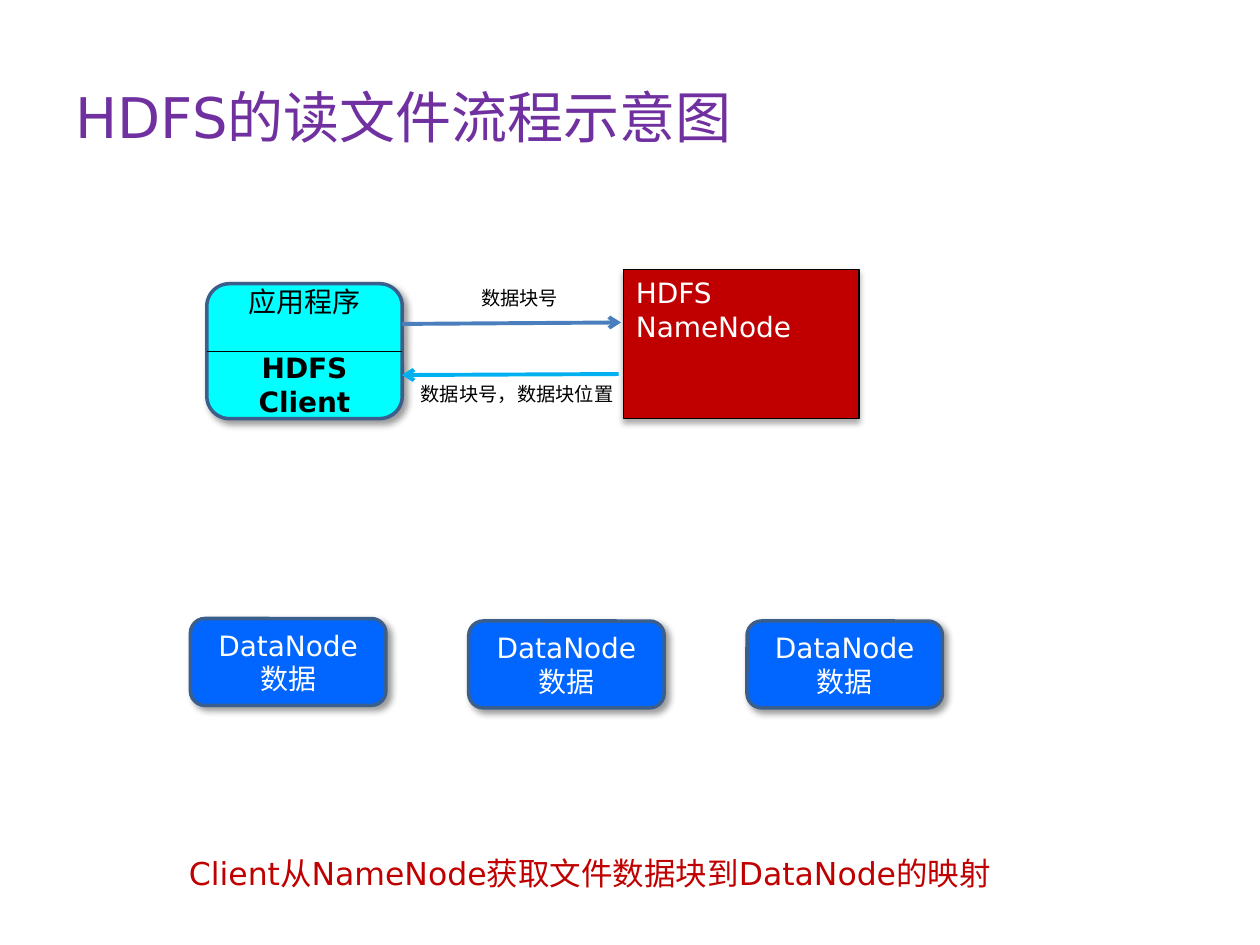
from lxml import etree
from pptx import Presentation
from pptx.dml.color import RGBColor
from pptx.enum import shapes, text
from pptx.oxml import ns
from pptx.util import Cm, Pt

# Colours
PURPLE = RGBColor(0x70, 0x30, 0xA0)
CYAN = RGBColor(0x00, 0xFF, 0xFF)
RED = RGBColor(0xC0, 0x00, 0x00)
BLUE = RGBColor(0x00, 0x66, 0xFF)
EDGE = RGBColor(0x3A, 0x5F, 0x8C)
REQUEST = RGBColor(0x4B, 0x7E, 0xBC)
REPLY = RGBColor(0x00, 0xB0, 0xF0)
BLACK = RGBColor(0, 0, 0)
WHITE = RGBColor(0xFF, 0xFF, 0xFF)

SANS = "DejaVu Sans"
LEFT, CENTER = text.PP_ALIGN.LEFT, text.PP_ALIGN.CENTER
TOP, MIDDLE = text.MSO_ANCHOR.TOP, text.MSO_ANCHOR.MIDDLE

# Content: positions and sizes in centimetres
TITLE = "HDFS的读文件流程示意图"
TITLE_BOX = (1.27, 0.76, 22.86, 3.18)
CLIENT_BOX = (4.17, 5.72, 3.94, 2.72)
NAME_NODE = "HDFS NameNode"
NAME_NODE_BOX = (12.57, 5.44, 4.75, 3)
DATA_NODE = ["DataNode", "数据"]
DATA_NODE_TOPS = [12.47, 12.52, 12.52]
DATA_NODE_LEFT, DATA_NODE_STEP = 3.84, 5.61
DATA_NODE_SIZE = (3.94, 1.75)
ARROWS = [
    ((8.1, 6.53, 12.52, 6.5), REQUEST),
    ((12.47, 7.54, 8.1, 7.56), REPLY),
]
LABELS = [
    ("数据块号", (9.45, 5.64, 2.62, 0.74), 11, BLACK),
    ("数据块号，数据块位置", (8.23, 7.59, 4.57, 0.74), 11, BLACK),
    ("Client从NameNode获取文件数据块到DataNode的映射",
     (3.56, 17.09, 17.86, 1.02), 18, RED),
]

# Shadows: blur and distance in points, angle in degrees, opacity in percent
SOFT = (4, 3, 45, 40)
DROP = (3.5, 2.2, 90, 32)


def lengths(values):
    return [Cm(value) for value in values]


def write(shape, lines, size, color, align=LEFT, anchor=TOP):
    frame = shape.text_frame
    frame.text = "\n".join(lines)
    frame.word_wrap = True
    frame.vertical_anchor = anchor
    for paragraph in frame.paragraphs:
        paragraph.alignment = align
        style = {"name": SANS, "size": Pt(size)}
        for key, value in style.items():
            setattr(paragraph.font, key, value)
        paragraph.font.color.rgb = color
    return frame


def add_shadow(shape, blur, distance, angle, opacity):
    shape.shadow.inherit = False
    effects = shape._element.spPr.find(ns.qn("a:effectLst"))
    shadow = etree.SubElement(
        effects, ns.qn("a:outerShdw"), blurRad=str(Pt(blur)),
        dist=str(Pt(distance)), dir=str(angle * 60000), rotWithShape="0")
    color = etree.SubElement(shadow, ns.qn("a:srgbClr"), val=str(BLACK))
    etree.SubElement(color, ns.qn("a:alpha"), val=str(opacity * 1000))


def add_box(slide, kind, box, fill, edge, width, shadow):
    shape = slide.shapes.add_shape(kind, *lengths(box))
    shape.fill.solid()
    shape.fill.fore_color.rgb = fill
    shape.line.color.rgb = edge
    shape.line.width = Pt(width)
    add_shadow(shape, *shadow)
    return shape


def add_line(slide, ends, color, width, arrow=False):
    line = slide.shapes.add_connector(
        shapes.MSO_CONNECTOR.STRAIGHT, *lengths(ends))
    line.line.color.rgb = color
    line.line.width = Pt(width)
    if arrow:
        etree.SubElement(line.line._get_or_add_ln(), ns.qn("a:tailEnd"),
                         type="arrow")
    etree.SubElement(line._element.spPr, ns.qn("a:effectLst"))
    return line


def main():
    presentation = Presentation()
    presentation.slide_width, presentation.slide_height = Cm(25.4), Cm(19.05)
    slide = presentation.slides.add_slide(presentation.slide_layouts[5])
    rounded = shapes.MSO_SHAPE.ROUNDED_RECTANGLE

    # Title
    title = slide.shapes.title
    title.left, title.top, title.width, title.height = lengths(TITLE_BOX)
    write(title, [TITLE], 32, PURPLE, anchor=MIDDLE)

    # Client, split in two halves
    client = add_box(slide, rounded, CLIENT_BOX, CYAN, EDGE, 2, SOFT)
    frame = write(client, ["应用程序", "HDFS Client"], 16, BLACK, CENTER, MIDDLE)
    application, library = frame.paragraphs
    application.font.name = "Arial"
    library.font.bold = True
    library.space_before = Pt(19)
    x, y, width, height = CLIENT_BOX
    middle = y + height / 2
    divider = add_line(slide, (x, middle, x + width, middle), BLACK, 0.75)
    divider.begin_connect(client, 1)
    divider.end_connect(client, 3)

    # NameNode
    name_node = add_box(slide, shapes.MSO_SHAPE.RECTANGLE, NAME_NODE_BOX,
                        RED, BLACK, 0.75, DROP)
    write(name_node, [NAME_NODE], 16, WHITE)

    # Row of DataNodes
    for index, top in enumerate(DATA_NODE_TOPS):
        left = DATA_NODE_LEFT + index * DATA_NODE_STEP
        node = add_box(slide, rounded, (left, top, *DATA_NODE_SIZE),
                       BLUE, EDGE, 2, SOFT)
        write(node, DATA_NODE, 16, WHITE, CENTER, MIDDLE)

    # Request and reply arrows
    for ends, color in ARROWS:
        add_line(slide, ends, color, 2.25, arrow=True)

    # Arrow labels and caption
    for label, box, size, color in LABELS:
        textbox = slide.shapes.add_textbox(*lengths(box))
        frame = write(textbox, [label], size, color)
        frame.auto_size = text.MSO_AUTO_SIZE.SHAPE_TO_FIT_TEXT

    presentation.save("out.pptx")


if __name__ == "__main__":
    main()
